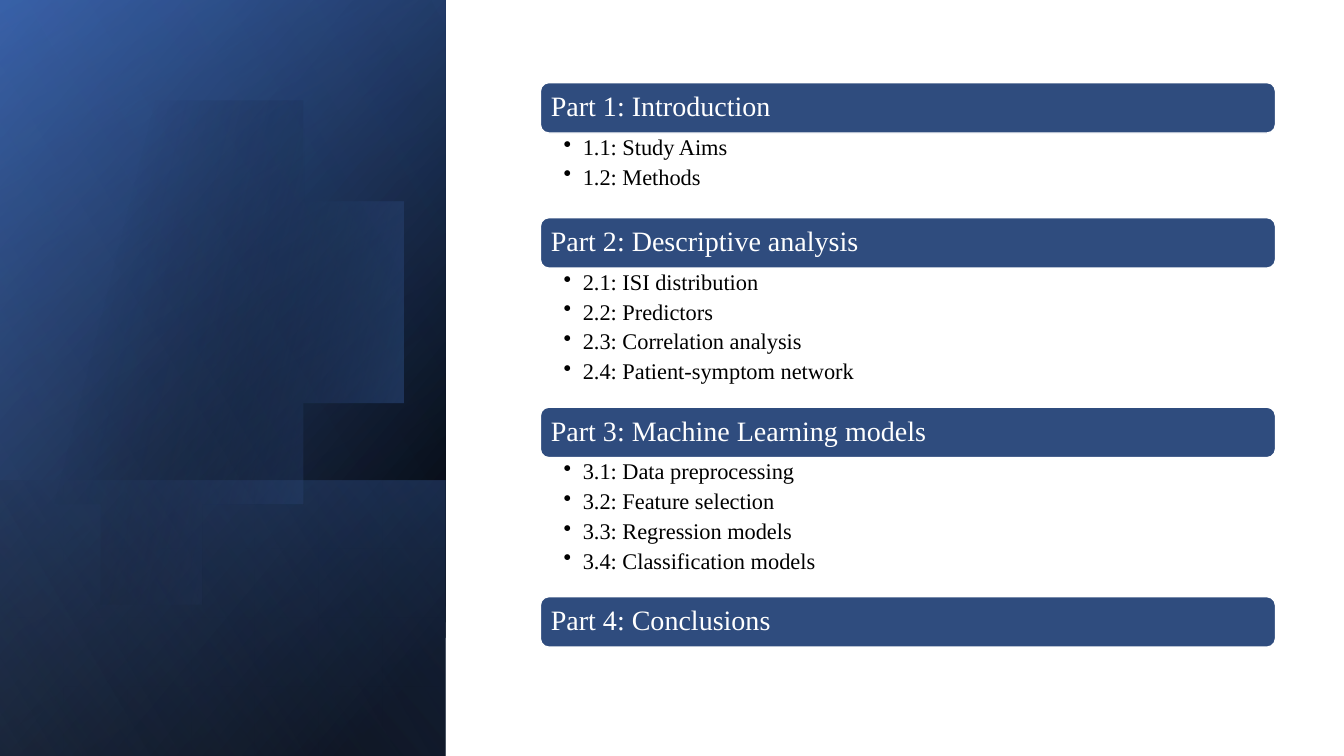
import math
import pptx
import pptx.util
import pptx.oxml
import pptx.oxml.ns
import pptx.dml.color
import pptx.enum.shapes
import pptx.enum.text

INCH = pptx.util.Inches
PT = pptx.util.Pt
RGB = pptx.dml.color.RGBColor.from_string
KIND = pptx.enum.shapes.MSO_SHAPE
WIDE, HIGH = 13.33, 7.5


class Theme:
    """Colours, font and type sizes of the slide."""
    font = "Times New Roman"
    head, item = 20, 16
    bar, white, black = "2F4C7E", "FFFFFF", "000000"
    deep, blue, pale = "2F5597", "4472C4", "8FAADC"


PARTS = [
    ("Part 1: Introduction", ["1.1: Study Aims", "1.2: Methods"]),
    ("Part 2: Descriptive analysis",
     ["2.1: ISI distribution", "2.2: Predictors", "2.3: Correlation analysis",
      "2.4: Patient-symptom network"]),
    ("Part 3: Machine Learning models",
     ["3.1: Data preprocessing", "3.2: Feature selection",
      "3.3: Regression models", "3.4: Classification models"]),
    ("Part 4: Conclusions", []),
]


def blend(shape, stops, angle):
    """Fill a shape with a gradient of (place, colour, opacity) stops, all in percent."""
    shape.shadow.inherit = False
    shape.line.fill.background()
    shape.fill.background()
    marks = "".join(
        f'<a:gs pos="{place * 1000}"><a:srgbClr val="{tint}">'
        f'<a:alpha val="{alpha * 1000}"/></a:srgbClr></a:gs>'
        for place, tint, alpha in stops)
    grad = pptx.oxml.parse_xml(
        f'<a:gradFill {pptx.oxml.ns.nsdecls("a")} rotWithShape="1">'
        f'<a:gsLst>{marks}</a:gsLst><a:lin ang="{angle * 60000}" scaled="0"/></a:gradFill>')
    props = shape.element.spPr
    props.replace(props.find(pptx.oxml.ns.qn("a:noFill")), grad)


def panel(slide, box, stops, angle):
    """Place a quarter-turned, mirrored gradient panel that covers the box."""
    left, top, width, height = box
    shift = (width - height) / 2
    shape = slide.shapes.add_shape(
        KIND.RECTANGLE, INCH(left + shift), INCH(top - shift), INCH(height), INCH(width))
    shape.rotation = 90
    shape.element.spPr.xfrm.set("flipH", "1")
    blend(shape, stops, angle)


def disc(slide, box, stops, angle):
    """Draw a disc, centred by shares of the box, cut off at its left edge."""
    left, top, width, height = box
    radius = 2.29
    reach = 0.323 * width
    mid = top + 0.45 * height
    limit = math.acos(-reach / radius)
    count = 120
    turns = [limit * (2 * step / count - 1) for step in range(count + 1)]
    points = [(left + reach + radius * math.cos(turn), mid + radius * math.sin(turn))
              for turn in turns]
    pen = slide.shapes.build_freeform(*points[0], scale=INCH(1))
    pen.add_line_segments(points[1:], close=True)
    blend(pen.convert_to_shape(), stops, angle)


def side(slide, box):
    """Layer the gradients of the decorated side band."""
    left, top, width, height = box
    base = 0.365 * height
    foot = (left, top + height - base, width, base)
    panel(slide, box, [(8, Theme.black, 100), (100, Theme.deep, 100)], 50)
    panel(slide, box, [(0, Theme.black, 0), (99, Theme.blue, 46)], 30)
    panel(slide, foot, [(2, Theme.blue, 29), (100, Theme.black, 30)], 130)
    disc(slide, box, [(29, Theme.black, 0), (100, Theme.blue, 43)], 14)
    panel(slide, box, [(0, Theme.black, 0), (99, Theme.pale, 11)], 120)


def write(shape, lines, size, color, inset, anchor, after=0, bullet=False):
    """Write lines into a shape, with bullets on request."""
    frame = shape.text_frame
    frame.word_wrap = True
    frame.vertical_anchor = anchor
    frame.margin_left, frame.margin_top, frame.margin_right, frame.margin_bottom = map(INCH, inset)
    frame.text = "\n".join(lines)
    for para in frame.paragraphs:
        para.alignment = pptx.enum.text.PP_ALIGN.LEFT
        para.line_spacing = 0.9
        para.space_after = PT(after)
        if bullet:
            props = para._p.get_or_add_pPr()
            props.set("marL", str(INCH(0.19)))
            props.set("indent", str(-INCH(0.19)))
            props.append(pptx.oxml.parse_xml(
                f'<a:buChar {pptx.oxml.ns.nsdecls("a")} char="•"/>'))
        para.font.name = Theme.font
        para.font.size = PT(size)
        para.font.color.rgb = RGB(color)


def agenda(slide, box):
    """Stack the part bars and their item lists down the box."""
    left, top, width, height = box
    tall = 0.5
    count = sum(len(items) for _, items in PARTS)
    lists = sum(bool(items) for _, items in PARTS)
    pitch = 0.27
    pad = (height - tall * len(PARTS) - pitch * count) / lists
    for title, items in PARTS:
        bar = slide.shapes.add_shape(
            KIND.ROUNDED_RECTANGLE, INCH(left), INCH(top), INCH(width), INCH(tall))
        bar.shadow.inherit = False
        bar.fill.solid()
        bar.fill.fore_color.rgb = RGB(Theme.bar)
        bar.line.color.rgb = RGB(Theme.white)
        bar.line.width = PT(1)
        write(bar, [title], Theme.head, Theme.white, (0.08, 0.08, 0.08, 0.08),
              pptx.enum.text.MSO_ANCHOR.MIDDLE)
        top += tall
        if items:
            depth = pad + pitch * len(items)
            body = slide.shapes.add_textbox(INCH(left), INCH(top), INCH(width), INCH(depth))
            write(body, items, Theme.item, Theme.black, (0.23, 0.03, 0.16, 0.03),
                  pptx.enum.text.MSO_ANCHOR.TOP, after=4, bullet=True)
            top += depth


def main():
    """Build the agenda slide and save it."""
    deck = pptx.Presentation()
    deck.slide_width, deck.slide_height = INCH(WIDE), INCH(HIGH)
    slide = deck.slides.add_slide(deck.slide_layouts[6])
    side(slide, (0, 0, 4.42, HIGH))
    agenda(slide, (5.36, 0.82, 7.29, 5.6))
    deck.save("out.pptx")


if __name__ == "__main__":
    main()
